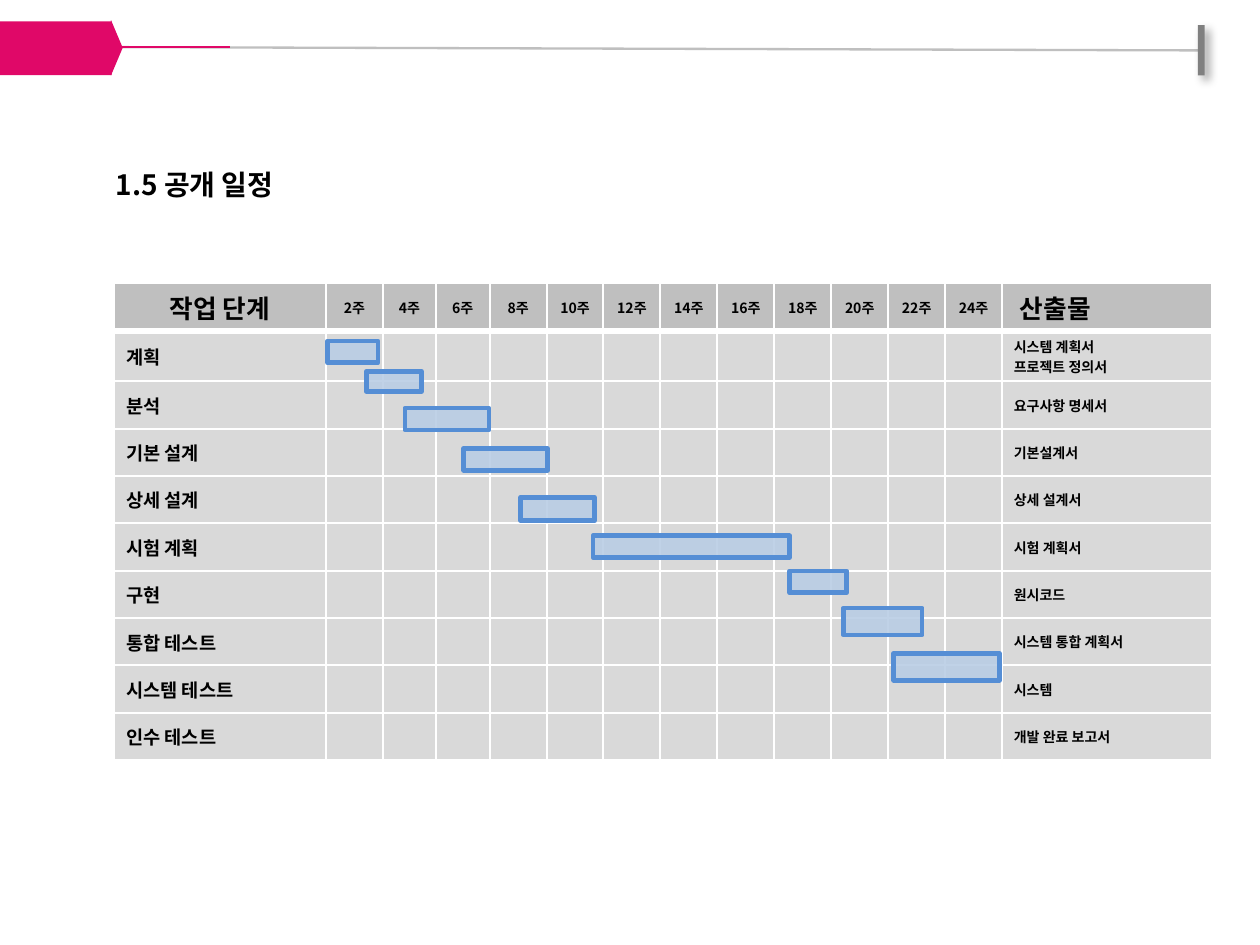
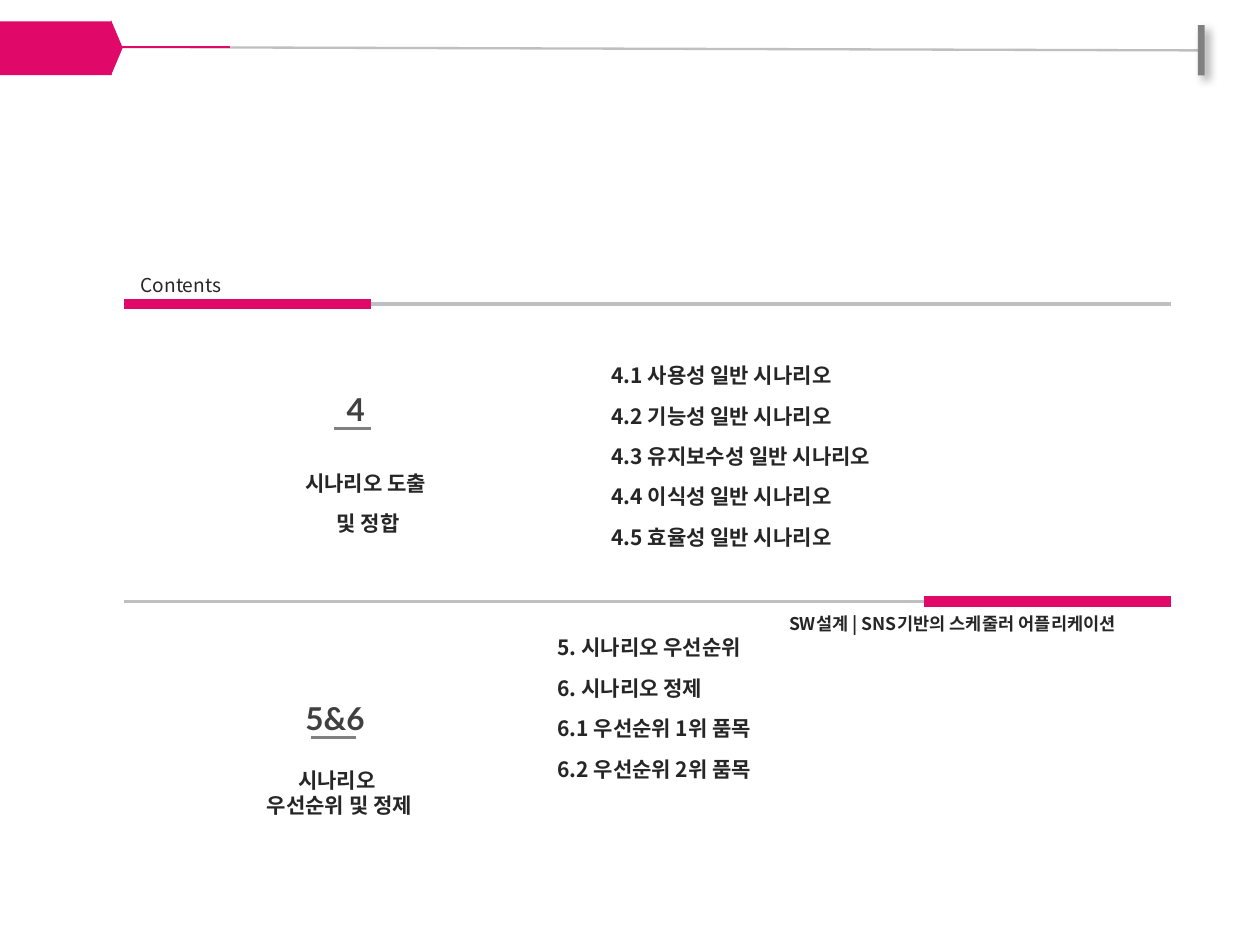
from dataclasses import dataclass
from typing import Optional

from lxml import etree
from pptx import Presentation
from pptx import util as u
from pptx.dml.color import RGBColor
from pptx.enum import shapes, text
from pptx.oxml.ns import qn

COLUMNS, ROWS = 100, 75
UNIT = 0.075  # inches per grid column and per grid row


@dataclass(frozen=True)
class Theme:
    font: str = "Noto Sans CJK KR"
    number_font: str = "Lato"
    accent: str = "E00868"
    rule: str = "BFBFBF"
    dark_rule: str = "808080"
    cell: str = "D9D9D9"
    white: str = "FFFFFF"
    black: str = "000000"
    ink: str = "262626"
    number_ink: str = "404040"
    bar: str = "B9CDE5"
    bar_line: str = "558ED5"
    title: float = 12
    number: float = 13.5
    body: float = 9
    label: float = 8.2
    footer: float = 7.5
    table_head: float = 11
    stage: float = 8
    small: float = 6


THEME = Theme()


@dataclass(frozen=True)
class Box:
    """A place on the slide grid, in columns and rows."""
    left: float
    top: float
    width: float
    height: float

    def emu(self) -> tuple:
        return tuple(map(grid, (self.left, self.top, self.width, self.height)))


@dataclass(frozen=True)
class Style:
    size: float
    color: str = THEME.ink
    bold: bool = True
    font: str = THEME.font
    align: Optional[text.PP_ALIGN] = None
    spacing: Optional[float] = None


@dataclass(frozen=True)
class Rule:
    start: tuple
    end: tuple
    color: str
    weight: float


@dataclass(frozen=True)
class Stage:
    name: str
    outputs: tuple


@dataclass(frozen=True)
class Section:
    number: str
    number_box: Box
    underline: Rule
    caption: tuple
    caption_box: Box
    caption_spacing: Optional[float]
    topics: tuple
    topics_box: Box


STAGES = (
    Stage("계획", ("시스템 계획서", "프로젝트 정의서")),
    Stage("분석", ("요구사항 명세서",)),
    Stage("기본 설계", ("기본설계서",)),
    Stage("상세 설계", ("상세 설계서",)),
    Stage("시험 계획", ("시험 계획서",)),
    Stage("구현", ("원시코드",)),
    Stage("통합 테스트", ("시스템 통합 계획서",)),
    Stage("시스템 테스트", ("시스템",)),
    Stage("인수 테스트", ("개발 완료 보고서",)),
)
WEEKS = range(2, 25, 2)
TABLE_COLUMNS = (16.8, 4.52, 4.2, 4.27, *[4.52] * 9, 16.67)
TABLE_ROWS = (3.2, 3.47, *[3.2] * 8)
BARS = (
    Box(26, 27.07, 4, 1.73),
    Box(29.07, 29.47, 4.4, 1.6),
    Box(32.13, 32.4, 6.67, 1.73),
    Box(36.8, 35.6, 6.67, 1.73),
    Box(41.33, 39.47, 5.87, 1.87),
    Box(47.07, 42.53, 15.6, 1.73),
    Box(62.67, 45.33, 4.53, 1.73),
    Box(66.93, 48.27, 6.27, 2.13),
    Box(70.93, 51.87, 8.4, 2.13),
)
HEADER_RULES = (
    Rule((5.07, 3.73), (95.07, 4), THEME.rule, 1),
    Rule((9.07, 3.73), (18.27, 3.73), THEME.accent, 1),
)
CONTENT_RULES = (
    Rule((9.87, 47.73), (82.8, 47.73), THEME.rule, 1.5),
    Rule((73.33, 47.73), (92.93, 47.73), THEME.accent, 4.5),
    Rule((20, 24.13), (92.93, 24.13), THEME.rule, 1.5),
    Rule((9.87, 24.13), (29.47, 24.13), THEME.accent, 4.5),
)
SECTIONS = (
    Section(" 4", Box(25.6, 30.27, 10.4, 4.4),
            Rule((26.53, 34), (29.47, 34), THEME.dark_rule, 1),
            ("시나리오 도출 ", "및 정합"), Box(20.27, 35.47, 17.87, 7.33), 1.6,
            ("4.1 사용성 일반 시나리오", "4.2 기능성 일반 시나리오",
             "4.3 유지보수성 일반 시나리오", "4.4 이식성 일반 시나리오",
             "4.5 효율성 일반 시나리오"), Box(47.2, 26.93, 50, 17.47)),
    Section("5&6", Box(22.93, 54.8, 12.27, 4.4),
            Rule((24.67, 58.53), (28.27, 58.53), THEME.dark_rule, 1),
            ("시나리오", " 우선순위 및 정제"), Box(18.13, 60.27, 17.2, 5.33), None,
            ("5. 시나리오 우선순위", "6. 시나리오 정제",
             "6.1 우선순위 1위 품목", "6.2 우선순위 2위 품목"),
            Box(42.93, 48.53, 50, 14.27)),
)


def grid(units: float) -> int:
    return u.Inches(units * UNIT)


def rgb(color: str) -> RGBColor:
    return RGBColor.from_string(color)


def write(frame, lines: tuple, style: Style) -> None:
    values = {"name": style.font, "size": u.Pt(style.size), "bold": style.bold}
    for index, line in enumerate(lines):
        paragraph = frame.add_paragraph() if index else frame.paragraphs[0]
        paragraph.alignment = style.align
        paragraph.line_spacing = style.spacing
        run = paragraph.add_run()
        run.text = line
        for name, value in values.items():
            setattr(run.font, name, value)
        run.font.color.rgb = rgb(style.color)
        latin = run.font._element.find(qn("a:latin"))
        latin.addnext(latin.makeelement(qn("a:ea"), {"typeface": style.font}))


def add_text(slide, box: Box, lines: tuple, style: Style) -> None:
    frame = slide.shapes.add_textbox(*box.emu()).text_frame
    frame.word_wrap = True
    frame.auto_size = text.MSO_AUTO_SIZE.SHAPE_TO_FIT_TEXT
    write(frame, lines, style)


def add_rule(slide, rule: Rule) -> None:
    line = slide.shapes.add_connector(
        shapes.MSO_CONNECTOR.STRAIGHT, *map(grid, rule.start + rule.end))
    line.line.color.rgb = rgb(rule.color)
    line.line.width = u.Pt(rule.weight)
    etree.SubElement(line._element.spPr, qn("a:effectLst"))


def add_block(slide, box: Box, color: str, kind=shapes.MSO_SHAPE.RECTANGLE):
    block = slide.shapes.add_shape(kind, *box.emu())
    block.shadow.inherit = False
    block.fill.solid()
    block.fill.fore_color.rgb = rgb(color)
    block.line.fill.background()
    return block


def set_alpha(color_element, percent: int) -> None:
    etree.SubElement(color_element, qn("a:alpha"), val=str(percent * 1000))


def add_header(slide) -> None:
    """Draw the band that every slide carries."""
    add_rule(slide, HEADER_RULES[0])
    tick = add_block(slide, Box(95.07, 2, 0.53, 4), THEME.dark_rule)
    shadow = etree.SubElement(
        tick._element.spPr.find(qn("a:effectLst")), qn("a:outerShdw"),
        blurRad=str(u.Pt(4)), dist=str(u.Pt(3)), dir=str(45 * 60000))
    set_alpha(etree.SubElement(shadow, qn("a:srgbClr"), val=THEME.black), 40)
    add_rule(slide, HEADER_RULES[1])
    tip = add_block(slide, Box(7.07, 3.33, 4.4, 0.93), THEME.accent,
                    shapes.MSO_SHAPE.ISOSCELES_TRIANGLE)
    tip.rotation = 90
    add_block(slide, Box(-0.13, 1.7, 9, 4.27), THEME.accent)


def set_borders(cell, top: float, bottom: float) -> None:
    properties = cell._tc.get_or_add_tcPr()
    for index, (side, weight) in enumerate(
            {"L": 1, "R": 1, "T": top, "B": bottom}.items()):
        line = properties.makeelement(qn(f"a:ln{side}"), {"w": str(u.Pt(weight))})
        fill = etree.SubElement(line, qn("a:solidFill"))
        etree.SubElement(fill, qn("a:srgbClr"), val=THEME.white)
        properties.insert(index, line)


def set_empty_size(cell, size: float) -> None:
    """Give a cell without text a type size, which rules its row height."""
    end = etree.SubElement(cell.text_frame.paragraphs[0]._p,
                           qn("a:endParaRPr"), sz=str(int(size * 100)))
    for script in ("latin", "ea"):
        etree.SubElement(end, qn(f"a:{script}"), typeface=THEME.font)


def fill_cell(cell, row: int, lines: tuple, style: Style) -> None:
    cell.fill.solid()
    cell.fill.fore_color.rgb = rgb(THEME.cell if row else THEME.rule)
    set_borders(cell, 3 if row == 1 else 1, 1 if row else 3)
    values = {"margin_left": 0.07, "margin_right": 0.07,
              "margin_top": 0.03, "margin_bottom": 0.03}
    for name, value in values.items():
        setattr(cell, name, u.Inches(value))
    cell.vertical_anchor = text.MSO_ANCHOR.MIDDLE
    if lines:
        write(cell.text_frame, lines, style)
    else:
        set_empty_size(cell, style.size)


def add_schedule(slide) -> None:
    box = Box(9.07, 22.5, sum(TABLE_COLUMNS), sum(TABLE_ROWS))
    table = slide.shapes.add_table(
        len(TABLE_ROWS), len(TABLE_COLUMNS), *box.emu()).table
    for column, width in zip(table.columns, TABLE_COLUMNS):
        column.width = grid(width)
    for row, height in zip(table.rows, TABLE_ROWS):
        row.height = grid(height)

    center = text.PP_ALIGN.CENTER
    head = Style(THEME.table_head, THEME.black)
    small = Style(THEME.small, THEME.black)
    stage_style = Style(THEME.stage, THEME.black)
    week = Style(THEME.small, THEME.black, align=center)
    rows = [[(("작업 단계",), Style(THEME.table_head, THEME.black, align=center)),
             *[((f"{number}주",), week) for number in WEEKS],
             ((" 산출물",), head)]]
    rows += [[((stage.name,), stage_style), *[((), head)] * len(WEEKS),
              (stage.outputs, small)] for stage in STAGES]
    for row, cells in enumerate(rows):
        for column, (lines, style) in enumerate(cells):
            fill_cell(table.cell(row, column), row, lines, style)


def add_bar(slide, box: Box) -> None:
    bar = add_block(slide, box, THEME.bar)
    bar.line.color.rgb = rgb(THEME.bar_line)
    bar.line.width = u.Pt(2)
    set_alpha(bar._element.spPr.find(qn("a:solidFill"))[0], 89)


def add_section(slide, section: Section) -> None:
    add_text(slide, section.number_box, (section.number,),
             Style(THEME.number, THEME.number_ink, font=THEME.number_font))
    add_text(slide, section.caption_box, section.caption,
             Style(THEME.body, align=text.PP_ALIGN.CENTER,
                   spacing=section.caption_spacing))
    add_rule(slide, section.underline)
    add_text(slide, section.topics_box, section.topics,
             Style(THEME.body, spacing=1.6))


def build_schedule(slide) -> None:
    add_schedule(slide)
    for bar in BARS:
        add_bar(slide, bar)
    add_text(slide, Box(7.87, 12.67, 36.53, 4), ("1.5 공개 일정",),
             Style(THEME.title, THEME.black))


def build_contents(slide) -> None:
    add_text(slide, Box(53.6, 48, 44, 3.07),
             ("SW설계 | SNS기반의 스케줄러 어플리케이션",),
             Style(THEME.footer, align=text.PP_ALIGN.CENTER))
    for rule in CONTENT_RULES:
        add_rule(slide, rule)
    add_text(slide, Box(9.87, 21.07, 18.53, 3.2), ("Contents",),
             Style(THEME.label, bold=False))
    for section in SECTIONS:
        add_section(slide, section)


def main() -> None:
    presentation = Presentation()
    presentation.slide_width = grid(COLUMNS)
    presentation.slide_height = grid(ROWS)
    for build in (build_schedule, build_contents):
        slide = presentation.slides.add_slide(presentation.slide_layouts[6])
        add_header(slide)
        build(slide)
    presentation.save("out.pptx")


if __name__ == "__main__":
    main()
